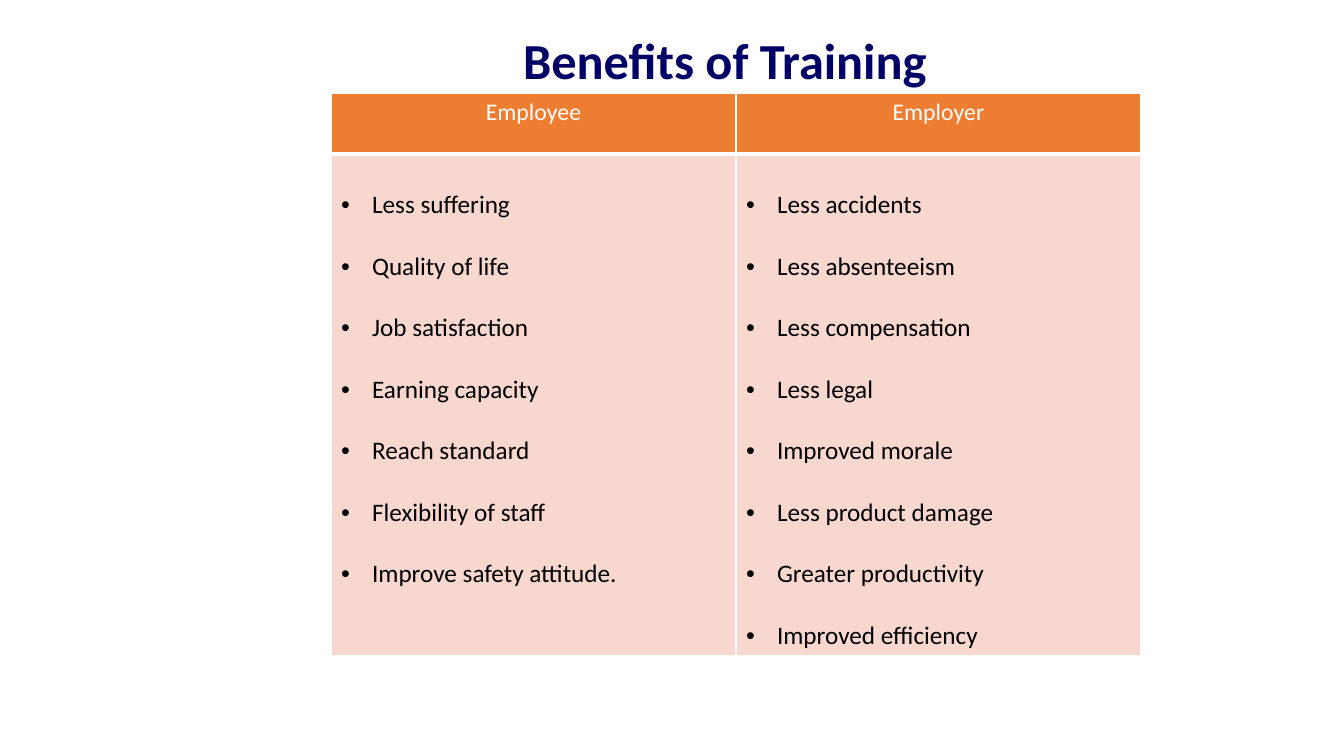
from dataclasses import dataclass

from lxml import etree
from pptx import Presentation
from pptx import util as u
from pptx.dml.color import RGBColor
from pptx.enum import text
from pptx.oxml import ns

TITLE = "Benefits of Training"
BENEFITS = {
    "Employee": [
        "Less suffering",
        "Quality of life",
        "Job satisfaction",
        "Earning capacity",
        "Reach standard",
        "Flexibility of staff",
        "Improve safety attitude.",
    ],
    "Employer": [
        "Less accidents",
        "Less absenteeism",
        "Less compensation",
        "Less legal",
        "Improved morale",
        "Less product damage",
        "Greater productivity",
        "Improved efficiency",
    ],
}


@dataclass(frozen=True)
class Theme:
    font: str = "Calibri"
    title: str = "000066"
    header_text: str = "FFFFFF"
    body_text: str = "000000"
    header_fill: str = "ED7D31"
    body_fill: str = "F8D7CE"
    border: str = "FFFFFF"
    title_size: int = 36
    header_size: int = 17
    body_size: int = 18
    thin: int = 1
    thick: int = 3


THEME = Theme()
SLIDE_SIZE = (1344, 756)
TITLE_BOX = (389, 21, 672, 76)
TABLE_LEFT, TABLE_TOP = 331, 93
COLUMN_WIDTH = 405
ROW_HEIGHTS = (61, 502)
BULLET_INDENT = 31
PX_PER_INCH = 100.8


def px(length):
    return u.Inches(length / PX_PER_INCH)


def style(paragraph, size, color, alignment, bold=False):
    paragraph.alignment = alignment
    font = paragraph.font
    font.name, font.size, font.bold = THEME.font, u.Pt(size), bold
    font.color.rgb = RGBColor.from_string(color)


def add_bullet(paragraph):
    paragraph.line_spacing = 2.0
    properties = paragraph._p.get_or_add_pPr()
    properties.set("marL", str(px(BULLET_INDENT)))
    properties.set("indent", str(-px(BULLET_INDENT)))
    etree.SubElement(properties, ns.qn("a:buFont")).set("typeface", "Arial")
    etree.SubElement(properties, ns.qn("a:buChar")).set("char", "•")


def paint_cell(cell, fill, bottom_width):
    """Fill the cell and draw its four borders."""
    properties = cell._tc.get_or_add_tcPr()
    for side in "LRTB":
        width = bottom_width if side == "B" else THEME.thin
        line = etree.SubElement(properties, ns.qn(f"a:ln{side}"), w=str(u.Pt(width)))
        solid = etree.SubElement(line, ns.qn("a:solidFill"))
        etree.SubElement(solid, ns.qn("a:srgbClr"), val=THEME.border)
    cell.fill.solid()
    cell.fill.fore_color.rgb = RGBColor.from_string(fill)


def add_title(slide):
    frame = slide.shapes.add_textbox(*map(px, TITLE_BOX)).text_frame
    frame.word_wrap = True
    frame.vertical_anchor = text.MSO_ANCHOR.MIDDLE
    frame.text = TITLE
    style(frame.paragraphs[0], THEME.title_size, THEME.title, text.PP_ALIGN.CENTER, bold=True)


def add_benefits_table(slide):
    columns = len(BENEFITS)
    bounds = (TABLE_LEFT, TABLE_TOP, columns * COLUMN_WIDTH, sum(ROW_HEIGHTS))
    table = slide.shapes.add_table(len(ROW_HEIGHTS), columns, *map(px, bounds)).table
    table.first_row = table.horz_banding = False
    for row, height in zip(table.rows, ROW_HEIGHTS):
        row.height = px(height)

    for index, (heading, benefits) in enumerate(BENEFITS.items()):
        table.columns[index].width = px(COLUMN_WIDTH)
        header, body = table.cell(0, index), table.cell(1, index)
        paint_cell(header, THEME.header_fill, THEME.thick)
        paint_cell(body, THEME.body_fill, THEME.thin)
        header.text = heading
        style(header.text_frame.paragraphs[0], THEME.header_size, THEME.header_text,
              text.PP_ALIGN.CENTER)
        body.text = "\n".join(benefits)
        for paragraph in body.text_frame.paragraphs:
            add_bullet(paragraph)
            style(paragraph, THEME.body_size, THEME.body_text, text.PP_ALIGN.JUSTIFY)


def main():
    presentation = Presentation()
    presentation.slide_width, presentation.slide_height = map(px, SLIDE_SIZE)
    slide = presentation.slides.add_slide(presentation.slide_layouts[6])
    add_title(slide)
    add_benefits_table(slide)
    presentation.save("out.pptx")


if __name__ == "__main__":
    main()
